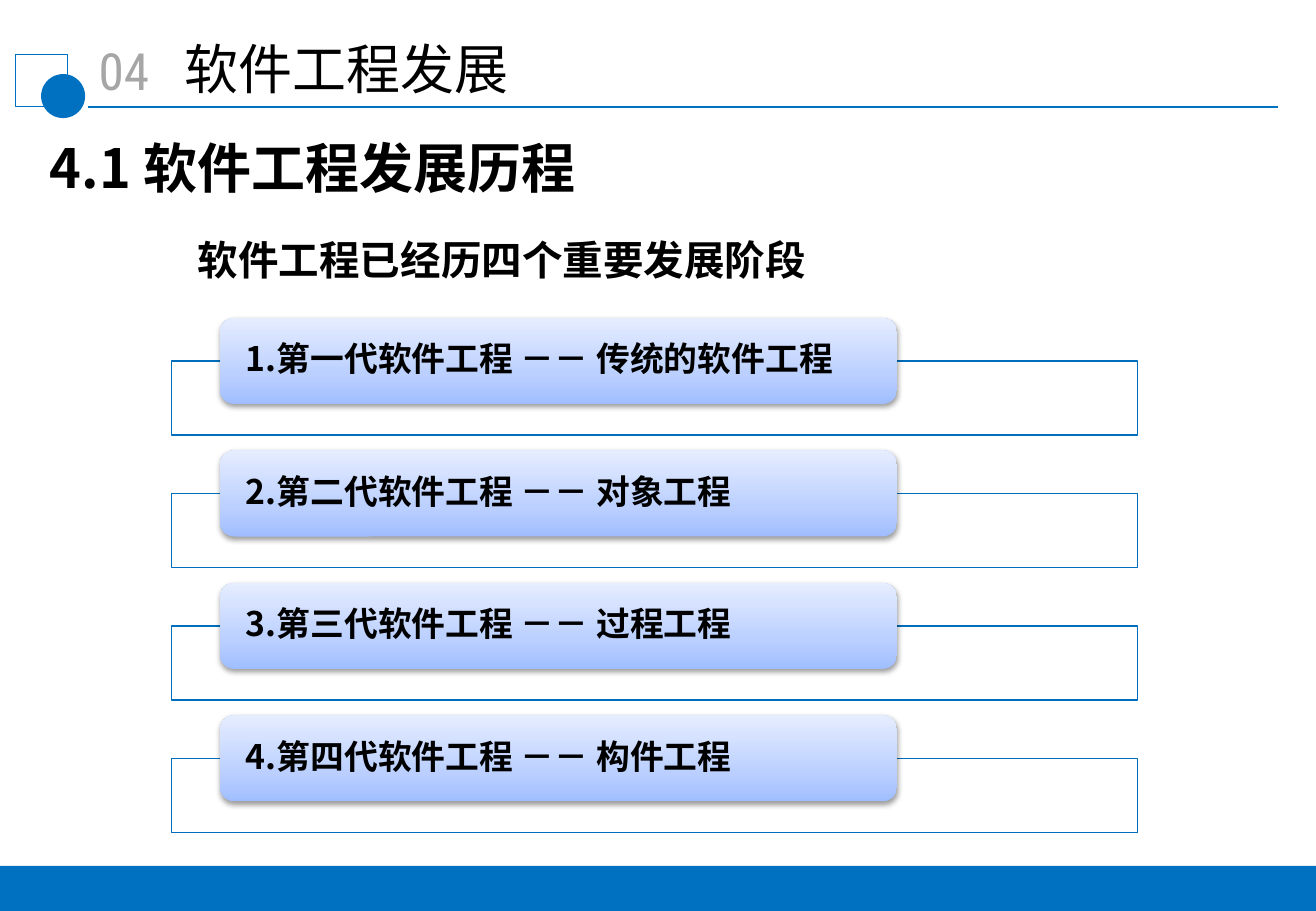
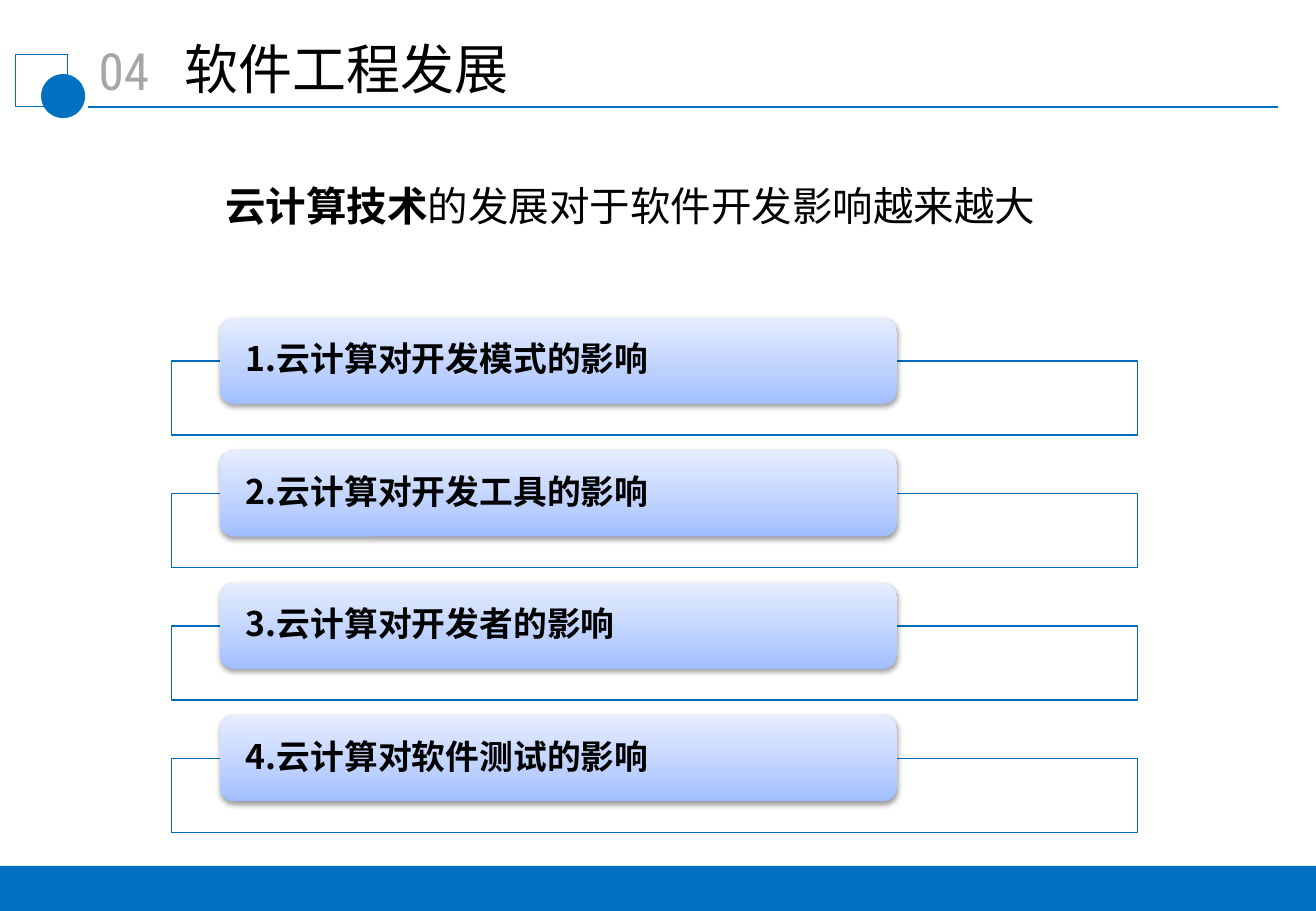
from lxml import etree
from pptx import Presentation, util as u
from pptx.dml.color import RGBColor
from pptx.enum import shapes, text
from pptx.oxml.ns import nsdecls, qn

Cm, Pt = u.Cm, u.Pt
RECT, ROUND, OVAL = (shapes.MSO_SHAPE.RECTANGLE, shapes.MSO_SHAPE.ROUNDED_RECTANGLE,
                     shapes.MSO_SHAPE.OVAL)

CHAPTER = ("04", "软件工程发展")
SLIDES = [
    {
        "section": "4.1 软件工程发展历程",
        "lead": [("软件工程已经历四个重要发展阶段", True)],
        "lead_box": (2.36, 4.78, 20.45, 1.24),
        "lead_indent": 1.53,
        "cards": [
            "第一代软件工程 －－ 传统的软件工程",
            "第二代软件工程 －－ 对象工程",
            "第三代软件工程 －－ 过程工程",
            "第四代软件工程 －－ 构件工程",
        ],
    },
    {
        "lead": [("云计算技术", True), ("的发展对于软件开发影响越来越大", False)],
        "lead_box": (3.12, 3.66, 23.6, 1.42),
        "lead_indent": 1.34,
        "cards": [
            "云计算对开发模式的影响",
            "云计算对开发工具的影响",
            "云计算对开发者的影响",
            "云计算对软件测试的影响",
        ],
    },
]

WIDTH, HEIGHT = 27.51, 19.05
BLUE, FRAME_BLUE, WHITE, BLACK, GREY = "0070C0", "006EBC", "FFFFFF", "000000", "A6A6A6"
CJK = "Noto Sans CJK SC"
CARD_STOPS = [(0, "A0BEFF"), (35, "BCD0FF"), (100, "E5EDFF")]

CARD_LEFT, CARD_TOP, CARD_WIDTH, CARD_HEIGHT, CARD_PITCH = 4.6, 6.65, 14.15, 1.8, 2.77
FRAME_LEFT, FRAME_WIDTH, FRAME_HEIGHT = 3.58, 20.2, 1.55
BAND_HEIGHT = 0.94

STYLES = {
    "number": {"size": Pt(30.4), "name": "Roboto Condensed", "bold": False},
    "chapter": {"size": Pt(32), "name": "Arial", "bold": False},
    "section": {"size": Pt(32), "name": CJK, "bold": True},
    "lead": {"size": Pt(24), "name": CJK},
    "card": {"size": Pt(20), "name": CJK, "bold": True},
}


def rgb(value):
    return RGBColor.from_string(value)


def set_all(target, values):
    for key, value in values.items():
        setattr(target, key, value)


def add_run(paragraph, words, style, colour=BLACK, **extra):
    run = paragraph.add_run()
    run.text = words
    set_all(run.font, {**STYLES[style], **extra})
    run.font.color.rgb = rgb(colour)
    etree.SubElement(run.font._element, qn("a:ea"), typeface=CJK)


def set_frame(shape, inset_x, inset_y, anchor=text.MSO_ANCHOR.TOP):
    frame = shape.text_frame
    set_all(frame, {
        "word_wrap": True, "vertical_anchor": anchor,
        "margin_left": Cm(inset_x), "margin_right": Cm(inset_x),
        "margin_top": Cm(inset_y), "margin_bottom": Cm(inset_y),
    })
    return frame.paragraphs[0]


def add_text(slide, box, inset_x=0.25, inset_y=0.13):
    """Add an empty text box and return its first paragraph."""
    return set_frame(slide.shapes.add_textbox(*map(Cm, box)), inset_x, inset_y)


def add_block(slide, kind, box, fill=None, line=None):
    block = slide.shapes.add_shape(kind, *map(Cm, box))
    block.shadow.inherit = False
    if fill:
        block.fill.solid()
        block.fill.fore_color.rgb = rgb(fill)
    else:
        block.fill.background()
    if line:
        block.line.color.rgb = rgb(line)
        block.line.width = Pt(0.75)
    else:
        block.line.fill.background()
    return block


def add_glow(card):
    """Give a card its vertical gradient and soft shadow below."""
    stops = "".join(f'<a:gs pos="{pos * 1000}"><a:srgbClr val="{colour}"/></a:gs>'
                    for pos, colour in CARD_STOPS)
    gradient = etree.fromstring(
        f'<a:gradFill {nsdecls("a")} rotWithShape="1"><a:gsLst>{stops}</a:gsLst>'
        '<a:lin ang="16200000" scaled="0"/></a:gradFill>')
    shadow = etree.fromstring(
        f'<a:outerShdw {nsdecls("a")} blurRad="{Pt(3.1)}" dist="{Pt(1.6)}" dir="5400000" '
        'rotWithShape="0"><a:srgbClr val="000000"><a:alpha val="38000"/></a:srgbClr>'
        '</a:outerShdw>')
    properties = card._element.spPr
    properties.replace(properties.find(qn("a:noFill")), gradient)
    properties.find(qn("a:effectLst")).append(shadow)


def add_header(slide):
    rule = slide.shapes.add_connector(shapes.MSO_CONNECTOR.STRAIGHT,
                                      Cm(1.83), Cm(2.24), Cm(26.72), Cm(2.24))
    rule.line.color.rgb = rgb(BLUE)
    rule.line.width = Pt(1.25)
    etree.SubElement(rule._element.spPr, qn("a:effectLst"))
    add_block(slide, RECT, (0.33, 1.14, 1.09, 1.09), line=BLUE)
    add_block(slide, OVAL, (0.86, 1.55, 0.92, 0.92), fill=BLUE)

    number, title = CHAPTER
    paragraph = add_text(slide, (1.32, 0.69, 2.54, 1.57), 0.28)
    paragraph.alignment = text.PP_ALIGN.CENTER
    add_run(paragraph, number, "number", GREY)
    add_run(add_text(slide, (3.58, 0.61, 12.57, 1.65), 0.28), title, "chapter")


def add_lead(slide, content):
    paragraph = add_text(slide, content["lead_box"])
    paragraph._p.get_or_add_pPr().set("indent", str(Cm(content["lead_indent"])))
    for words, bold in content["lead"]:
        add_run(paragraph, words, "lead", bold=bold)


def add_cards(slide, cards):
    for index, words in enumerate(cards):
        top = CARD_TOP + index * CARD_PITCH
        add_block(slide, RECT, (FRAME_LEFT, top + CARD_HEIGHT / 2, FRAME_WIDTH, FRAME_HEIGHT),
                  WHITE, FRAME_BLUE)
        card = add_block(slide, ROUND, (CARD_LEFT, top, CARD_WIDTH, CARD_HEIGHT))
        add_glow(card)
        paragraph = set_frame(card, 0.45, 0, text.MSO_ANCHOR.MIDDLE)
        set_all(paragraph, {"alignment": text.PP_ALIGN.LEFT, "line_spacing": 0.9})
        add_run(paragraph, f"{index + 1}.{words}", "card")


def main():
    deck = Presentation()
    deck.slide_width, deck.slide_height = Cm(WIDTH), Cm(HEIGHT)
    for content in SLIDES:
        slide = deck.slides.add_slide(deck.slide_layouts[6])
        add_header(slide)
        if "section" in content:
            add_run(add_text(slide, (0.86, 2.72, 16.9, 1.68), 0.18, 0.1),
                    content["section"], "section")
        add_lead(slide, content)
        add_cards(slide, content["cards"])
        add_block(slide, RECT, (0, HEIGHT - BAND_HEIGHT, WIDTH, BAND_HEIGHT), fill=BLUE)
    deck.save("out.pptx")


if __name__ == "__main__":
    main()
